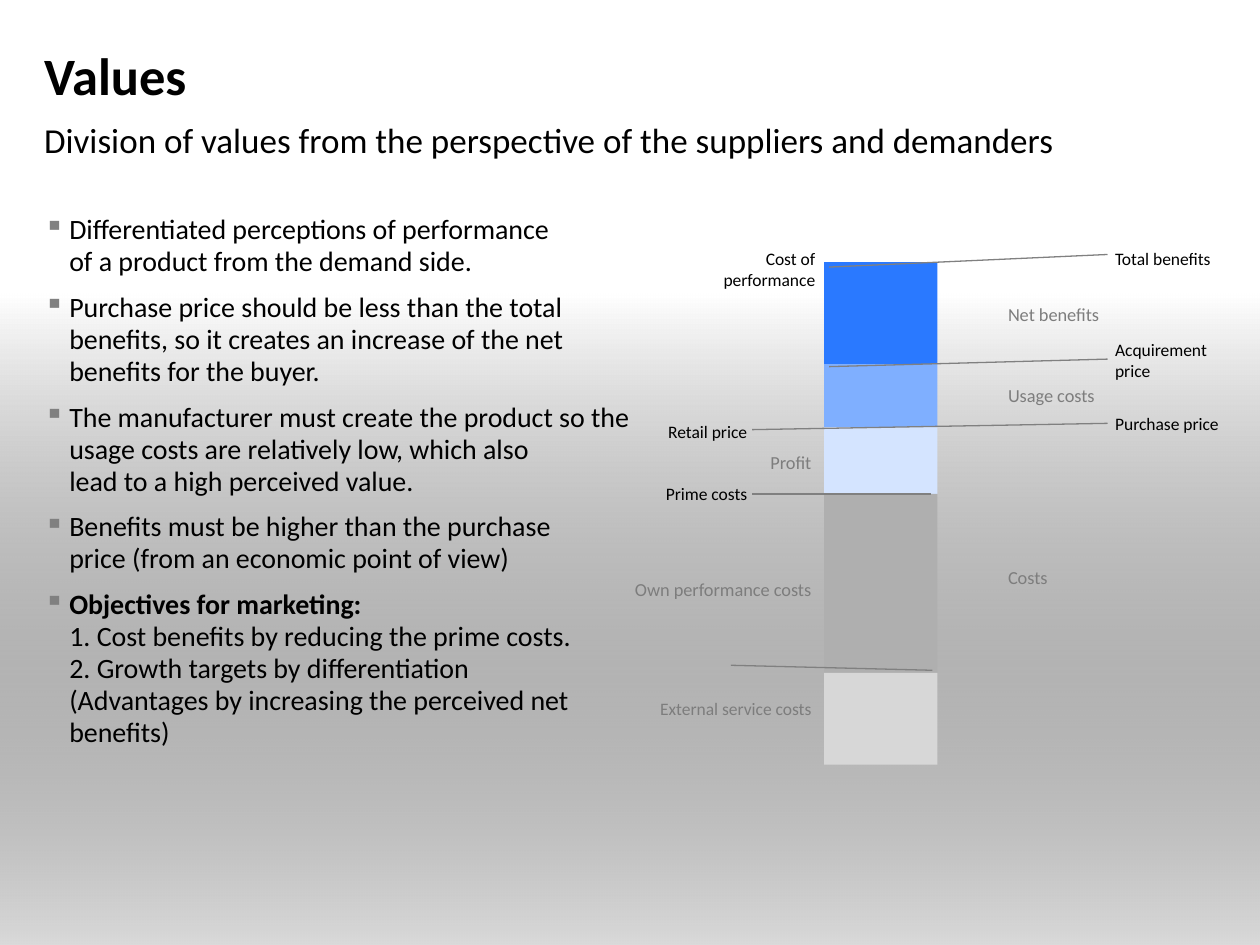
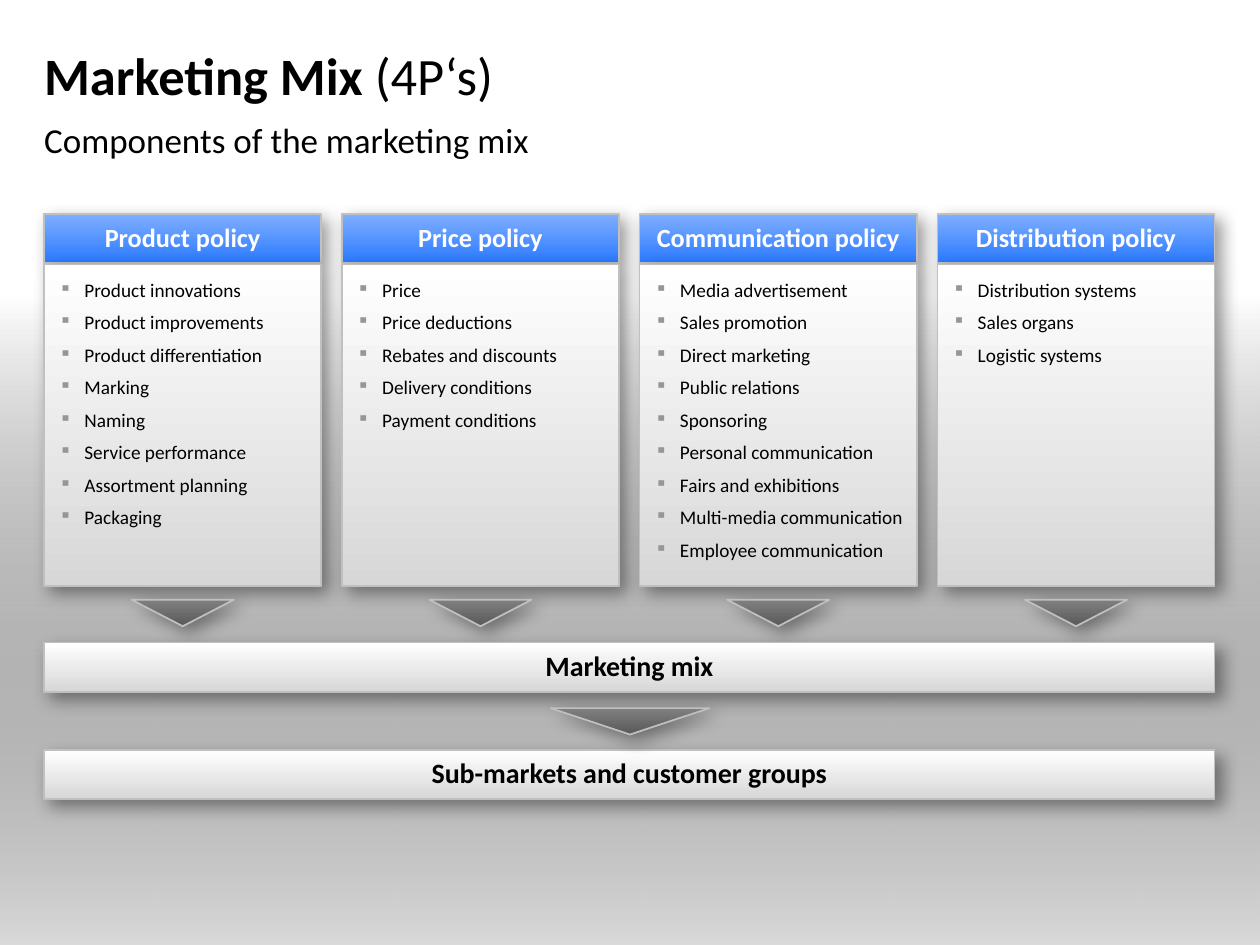
import pptx
import pptx.dml.color
import pptx.enum.shapes
import pptx.enum.text
import pptx.oxml
import pptx.oxml.ns
import pptx.util

COLORS = {
    "black": "000000", "white": "FFFFFF", "label": "7D7D7D", "rule": "808080",
    "bullet": "969696", "border": "C0C0C0", "silver": "D7D7D7", "grey": "AFAFAF",
    "dark": "595959", "pale": "D4E4FF", "sky": "7FAFFF", "blue": "2A79FF",
}
FONT = "Calibri"
# The slide is a grid of 100 columns by 75 rows
COLUMNS, ROWS = 100, 75
CELL = pptx.util.Inches(10) // COLUMNS
MARGIN, CONTENT_WIDTH, CONTENT_TOP = 3.5, 92.9, 17

ALIGN = pptx.enum.text.PP_ALIGN
ANCHOR = pptx.enum.text.MSO_ANCHOR
SHAPE = pptx.enum.shapes.MSO_SHAPE

UP, DOWN = 90, 270
SILVER_GRADIENT = ("silver", "white", UP)
BLUE_GRADIENT = ("sky", "blue", DOWN)
DARK_GRADIENT = ("dark", "rule", DOWN)


def cells(*lengths):
    return [round(length * CELL) for length in lengths]


def rgb(name):
    return pptx.dml.color.RGBColor.from_string(COLORS[name])


def element(xml):
    return pptx.oxml.parse_xml(xml.replace(" ", f' {pptx.oxml.ns.nsdecls("a")} ', 1))


# Text helpers
def set_frame(shape, anchor=ANCHOR.TOP, left=0, top=0):
    frame = shape.text_frame
    frame.word_wrap = True
    frame.auto_size = pptx.enum.text.MSO_AUTO_SIZE.NONE
    frame.vertical_anchor = anchor
    frame.margin_left, frame.margin_top = cells(left, top)
    frame.margin_right = frame.margin_bottom = 0
    return frame


def add_text(paragraph, text, size, color="black", bold=False):
    for number, line in enumerate(text.split("\n")):
        if number:
            paragraph.add_line_break()
        if line:
            run = paragraph.add_run()
            run.text = line
            run.font.name, run.font.size = FONT, pptx.util.Pt(size)
            run.font.bold, run.font.color.rgb = bold, rgb(color)


def add_bullets(frame, items, size, space_after, color, percent=100):
    """Each item is a list of (text, bold) runs."""
    indent = cells(2)[0]
    for number, runs in enumerate(items):
        paragraph = frame.add_paragraph() if number else frame.paragraphs[0]
        properties = paragraph._p.get_or_add_pPr()
        properties.set("marL", str(indent))
        properties.set("indent", str(-indent))
        properties.append(element(f'<a:buClr ><a:srgbClr val="{COLORS[color]}"/></a:buClr>'))
        properties.append(element(f'<a:buSzPct val="{percent * 1000}"/>'))
        properties.append(element('<a:buChar char="▪"/>'))
        paragraph.alignment = ALIGN.LEFT
        paragraph.line_spacing = 0.95
        paragraph.space_after = pptx.util.Pt(space_after)
        for text, bold in runs:
            add_text(paragraph, text, size, bold=bold)


def add_label(slide, box, text, size, color="black", align=ALIGN.LEFT, anchor=ANCHOR.TOP):
    frame = set_frame(slide.shapes.add_textbox(*cells(*box)), anchor)
    frame.paragraphs[0].alignment = align
    add_text(frame.paragraphs[0], text, size, color)


# Shape helpers
def add_block(slide, box, kind=SHAPE.RECTANGLE):
    shape = slide.shapes.add_shape(kind, *cells(*box))
    shape.shadow.inherit = False
    shape.line.fill.background()
    return shape


def fill_gradient(shape, start, end, angle):
    shape.fill.gradient()
    shape.fill.gradient_angle = angle
    for stop, color in zip(shape.fill.gradient_stops, (start, end)):
        stop.color.rgb = rgb(color)


def add_raised_block(slide, box, gradient, kind=SHAPE.RECTANGLE):
    shape = add_block(slide, box, kind)
    fill_gradient(shape, *gradient)
    shape.line.color.rgb = rgb("border")
    shape.line.width = pptx.util.Pt(1)
    point = pptx.util.Pt(1)
    shadow = element(
        f'<a:outerShdw blurRad="{10 * point}" dist="{5 * point}" dir="2700000" algn="tl"'
        ' rotWithShape="0"><a:srgbClr val="000000"><a:alpha val="40000"/></a:srgbClr></a:outerShdw>')
    shape._element.spPr.find(pptx.oxml.ns.qn("a:effectLst")).append(shadow)
    return shape


def add_caption_bar(slide, box, text, gradient, size, color):
    frame = set_frame(add_raised_block(slide, box, gradient), ANCHOR.MIDDLE)
    frame.paragraphs[0].alignment = ALIGN.CENTER
    frame.paragraphs[0].line_spacing = 0.95
    add_text(frame.paragraphs[0], text, size, color, bold=True)


def add_down_arrow(slide, center, top, width):
    box = (center - width / 2, top, width, 2.1)
    add_raised_block(slide, box, DARK_GRADIENT, SHAPE.ISOSCELES_TRIANGLE).rotation = 180


def add_rule(slide, *ends):
    line = slide.shapes.add_connector(pptx.enum.shapes.MSO_CONNECTOR.STRAIGHT, *cells(*ends))
    line.line.color.rgb = rgb("rule")
    line.line.width = pptx.util.Pt(0.75)
    line._element.spPr.append(element("<a:effectLst />"))


# Parts that both slides share
def add_base_slide(presentation, title_runs, subtitle):
    slide = presentation.slides.add_slide(presentation.slide_layouts[5])
    band_top = 23.3
    band = add_block(slide, (0, band_top, COLUMNS, ROWS - band_top))
    fill_gradient(band, "black", "white", UP)
    first_color = next(band._element.spPr.iter(pptx.oxml.ns.qn("a:srgbClr")))
    first_color.append(element('<a:alpha val="15000"/>'))
    slide.shapes._spTree.insert(2, band._element)

    title = slide.shapes.title
    title.left, title.top, title.width, title.height = cells(MARGIN, 2.6, CONTENT_WIDTH, 6.7)
    paragraph = set_frame(title, ANCHOR.MIDDLE).paragraphs[0]
    paragraph.alignment = ALIGN.LEFT
    for text, bold in title_runs:
        add_text(paragraph, text, 30, bold=bold)
    add_label(slide, (MARGIN, 9.4, CONTENT_WIDTH, 3.7), subtitle, 20)
    return slide


# Values slide
VALUE_POINTS = [
    [("Differentiated perceptions of performance \nof a product from the demand side.", False)],
    [("Purchase price should be less than the total benefits, so it creates an increase "
      "of the net benefits for the buyer.", False)],
    [("The manufacturer must create the product so the usage costs are relatively low, "
      "which also \nlead to a high perceived value.", False)],
    [("Benefits must be higher than the purchase \nprice (from an economic point of view)", False)],
    [("Objectives for marketing:\n", True),
     ("1. Cost benefits by reducing the prime costs.\n2. Growth targets by differentiation \n"
      "(Advantages by increasing the perceived net benefits)", False)],
]
# Height and colour of each layer, from the top
VALUE_LAYERS = [(8.1, "blue"), (5, "sky"), (5.3, "pale"), (14.2, "grey"), (7.3, "silver")]
# Ends of the dividing lines
VALUE_RULES = [
    (37.9, 0.5, 15.8, 1.5), (37.9, 8.8, 15.8, 9.4), (37.9, 13.9, 9.7, 14.4),
    (23.9, 19.5, 9.7, 19.5), (24, 33.5, 8, 33.1),
]
# Aligned edge, alignment, size, colour, then text and top of each label
VALUE_LABELS = [
    (14.7, ALIGN.RIGHT, 10, "black", [("Cost of\nperformance", 0)]),
    (9.3, ALIGN.RIGHT, 10, "black", [("Retail price", 13.7), ("Prime costs", 18.6)]),
    (14.4, ALIGN.RIGHT, 10.5, "label", [("Profit", 16.1), ("Own performance costs", 26.2)]),
    (14.4, ALIGN.RIGHT, 10, "label", [("External service costs", 35.7)]),
    (30, ALIGN.LEFT, 10.5, "label", [("Net benefits", 4.4), ("Usage costs", 10.8), ("Costs", 25.2)]),
    (38.5, ALIGN.LEFT, 10, "black",
     [("Total benefits", 0), ("Acquirement \nprice", 7.2), ("Purchase price", 13.1)]),
]


def add_value_stack(slide, left, top):
    layer_top = top + 1.1
    for height, color in VALUE_LAYERS:
        layer = add_block(slide, (left + 15.4, layer_top, 9, height))
        layer.fill.solid()
        layer.fill.fore_color.rgb = rgb(color)
        layer_top += height
    for x1, y1, x2, y2 in VALUE_RULES:
        add_rule(slide, left + x1, top + y1, left + x2, top + y2)
    width = 11.5
    for edge, align, size, color, labels in VALUE_LABELS:
        # Right-aligned labels get extra room on their left
        room = width + 3.5 if align == ALIGN.RIGHT else width
        label_left = left + edge - (room if align == ALIGN.RIGHT else 0)
        for text, label_top in labels:
            height = 1.7 * len(text.split("\n"))
            add_label(slide, (label_left, top + label_top, room, height), text, size, color, align)


def build_values_slide(presentation):
    slide = add_base_slide(presentation, [("Values", True)],
                           "Division of values from the perspective of the suppliers and demanders")
    body = slide.shapes.add_textbox(*cells(MARGIN, CONTENT_TOP, 46.5, 46.5))
    add_bullets(set_frame(body), VALUE_POINTS, 16, 8, "rule")
    add_value_stack(slide, 50, 19.7)


# Marketing mix slide
POLICIES = {
    "Product policy": [
        "Product innovations", "Product improvements", "Product differentiation", "Marking",
        "Naming", "Service performance", "Assortment planning", "Packaging"],
    "Price policy": [
        "Price", "Price deductions", "Rebates and discounts", "Delivery conditions",
        "Payment conditions"],
    "Communication policy": [
        "Media advertisement", "Sales promotion", "Direct marketing", "Public relations",
        "Sponsoring", "Personal communication", "Fairs and exhibitions",
        "Multi-media communication", "Employee communication"],
    "Distribution policy": ["Distribution systems", "Sales organs", "Logistic systems"],
}
BAR_HEIGHT = 3.9


def add_policy_column(slide, left, top, width, name, items):
    add_caption_bar(slide, (left, top, width, BAR_HEIGHT), name, BLUE_GRADIENT, 15, "white")
    panel = add_raised_block(slide, (left, top + 4, width, 25.5), SILVER_GRADIENT)
    frame = set_frame(panel, left=1.2, top=1.2)
    add_bullets(frame, [[(item, False)] for item in items], 11, 6, "bullet", 90)
    add_down_arrow(slide, left + width / 2, top + 30.6, 8.1)


def build_mix_slide(presentation):
    slide = add_base_slide(presentation, [("Marketing Mix ", True), ("(4P‘s)", False)],
                           "Components of the marketing mix")
    width = 22
    step = (CONTENT_WIDTH - width) / (len(POLICIES) - 1)
    for number, (name, items) in enumerate(POLICIES.items()):
        add_policy_column(slide, MARGIN + number * step, CONTENT_TOP, width, name, items)
    for text, top in (("Marketing mix", 51), ("Sub-markets and customer groups", 59.5)):
        add_caption_bar(slide, (MARGIN, top, CONTENT_WIDTH, BAR_HEIGHT), text,
                        SILVER_GRADIENT, 16, "black")
    add_down_arrow(slide, COLUMNS / 2, 56.2, 12.6)


def main():
    presentation = pptx.Presentation()
    presentation.slide_width, presentation.slide_height = cells(COLUMNS, ROWS)
    build_values_slide(presentation)
    build_mix_slide(presentation)
    presentation.save("out.pptx")


if __name__ == "__main__":
    main()
